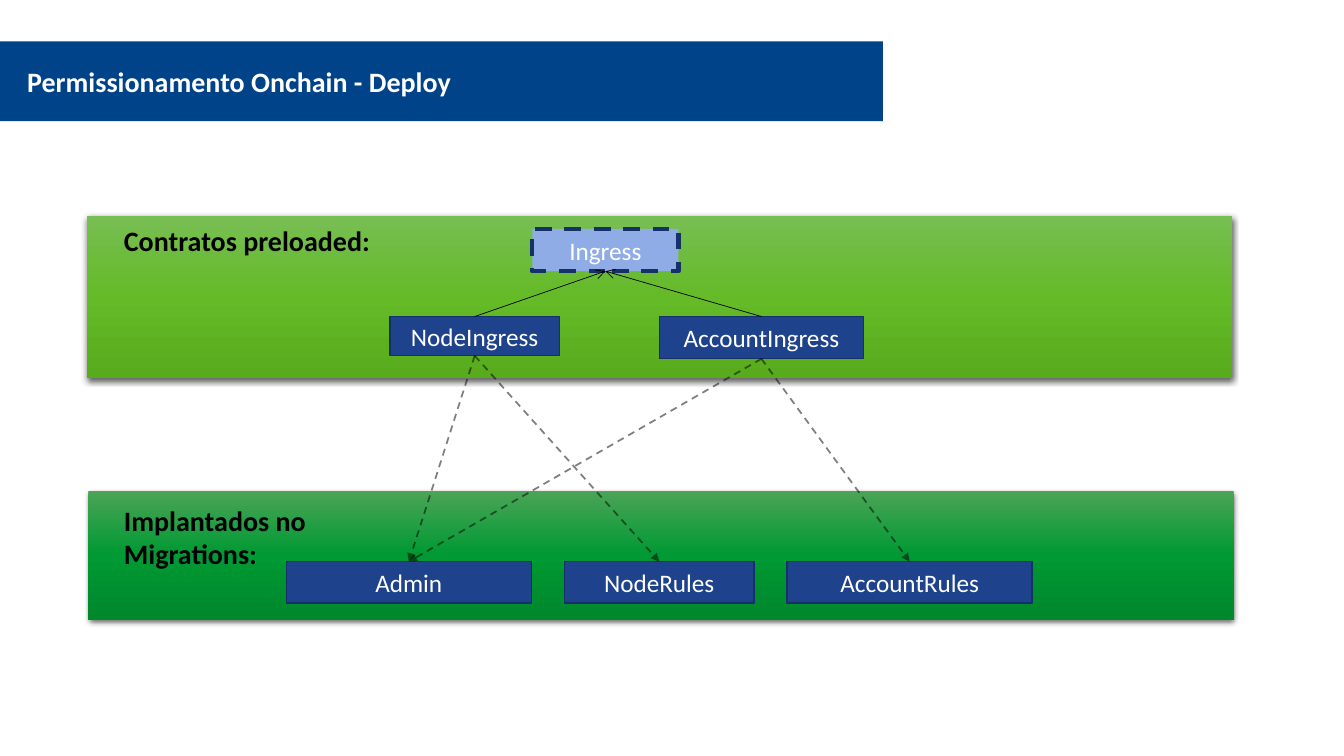
from dataclasses import dataclass
from typing import Any, Optional

import lxml.etree
import pptx
import pptx.dml.color
import pptx.enum.dml
import pptx.enum.shapes
import pptx.enum.text
import pptx.oxml.ns
import pptx.util

Pt = pptx.util.Pt
qn = pptx.oxml.ns.qn
RECTANGLE = pptx.enum.shapes.MSO_SHAPE.RECTANGLE
DASH = pptx.enum.dml.MSO_LINE.DASH
TOP, BOTTOM = 0, 2

COLORS = {
    "white": "FFFFFF",
    "black": "000000",
    "title_bar": "004389",
    "contract": "1E428B",
    "abstract": "8FACE7",
    "outline": "163167",
}
TITLE_FONT = {"name": "Calibri", "size": Pt(20), "bold": True}
CONTRACT_FONT = {"name": "Calibri", "size": Pt(18), "bold": False}


@dataclass
class Panel:
    left: float
    top: float
    width: float
    height: float
    stops: tuple[str, str, str]


@dataclass
class Contract:
    name: str
    left: float
    top: float
    width: float
    height: float
    fill: str = "contract"
    line_width: float = 1
    dash: Any = None


@dataclass
class Caption:
    text: str
    left: float
    top: float
    width: float
    height: float
    color: str = "black"
    wrap: bool = True
    inset: tuple[float, float] = (7.2, 3.6)


@dataclass
class ArrowStyle:
    width: float
    head: str
    dash: Any = None
    opacity: Optional[int] = None


@dataclass
class Arrow:
    source: str
    target: str
    source_side: int
    target_side: int
    style: ArrowStyle


INHERITS = ArrowStyle(0.5, "arrow")
USES = ArrowStyle(1.25, "triangle", DASH, 50)

PANELS = [
    Panel(62, 154, 818, 116, ("78BE54", "64BA27", "58AB1D")),
    Panel(63.2, 350.6, 818, 92, ("4BA457", "009933", "00882D")),
]
CONTRACTS = [
    Contract("NodeIngress", 278.6, 226.1, 121, 28),
    Contract("Ingress", 380.2, 163.5, 104.4, 30.2, "abstract", 3, DASH),
    Contract("AccountIngress", 470.9, 226.1, 146, 30.2),
    Contract("Admin", 204.5, 401.2, 175, 29.6),
    Contract("NodeRules", 403.2, 401.2, 135.4, 29.6),
    Contract("AccountRules", 562.3, 401.2, 175, 29.6),
]
CAPTIONS = [
    Caption("Permissionamento Onchain - Deploy", 14.4, 43, 316, 29.5, "white", False, (5, 2.9)),
    Caption("Contratos preloaded:", 81.4, 155.8, 229.7, 31.5),
    Caption("Implantados no Migrations:", 81.4, 356, 229.7, 55.7),
]
ARROWS = [
    Arrow("NodeIngress", "Ingress", TOP, BOTTOM, INHERITS),
    Arrow("AccountIngress", "Ingress", TOP, BOTTOM, INHERITS),
    Arrow("NodeIngress", "Admin", BOTTOM, TOP, USES),
    Arrow("NodeIngress", "NodeRules", BOTTOM, TOP, USES),
    Arrow("AccountIngress", "AccountRules", BOTTOM, TOP, USES),
    Arrow("AccountIngress", "Admin", BOTTOM, TOP, USES),
]


def rgb(name: str) -> pptx.dml.color.RGBColor:
    return pptx.dml.color.RGBColor.from_string(COLORS[name])


def add_element(parent: Any, tag: str, **attributes: Any) -> Any:
    values = {key: str(value) for key, value in attributes.items()}
    return lxml.etree.SubElement(parent, qn(tag), values)


def add_rectangle(slide: Any, left: float, top: float, width: float, height: float) -> Any:
    shape = slide.shapes.add_shape(RECTANGLE, Pt(left), Pt(top), Pt(width), Pt(height))
    shape.shadow.inherit = False
    shape.line.fill.background()
    return shape


def write_text(paragraph: Any, text: str, font_format: dict[str, Any], color: str) -> None:
    run = paragraph.add_run()
    run.text = text
    for attribute, value in font_format.items():
        setattr(run.font, attribute, value)
    run.font.color.rgb = rgb(color)


def add_panel(slide: Any, panel: Panel) -> None:
    shape = add_rectangle(slide, panel.left, panel.top, panel.width, panel.height)
    shape.fill.gradient()
    shape.fill.gradient_angle = 270
    properties = shape.element.spPr
    stop_list = properties.find(qn("a:gradFill")).find(qn("a:gsLst"))
    for stop in list(stop_list):
        stop_list.remove(stop)
    for index, color in enumerate(panel.stops):
        stop = add_element(stop_list, "a:gs", pos=index * 50000)
        add_element(stop, "a:srgbClr", val=color)
    shadow = add_element(properties.find(qn("a:effectLst")), "a:outerShdw", blurRad=Pt(4.5),
                         dist=Pt(1.5), dir=90 * 60000, rotWithShape=0)
    shadow_color = add_element(shadow, "a:srgbClr", val=COLORS["black"])
    add_element(shadow_color, "a:alpha", val=63000)


def add_contract(slide: Any, contract: Contract) -> Any:
    shape = add_rectangle(slide, contract.left, contract.top, contract.width, contract.height)
    shape.fill.solid()
    shape.fill.fore_color.rgb = rgb(contract.fill)
    shape.line.color.rgb = rgb("outline")
    shape.line.width = Pt(contract.line_width)
    if contract.dash:
        shape.line.dash_style = contract.dash
    shape.text_frame.vertical_anchor = pptx.enum.text.MSO_ANCHOR.MIDDLE
    paragraph = shape.text_frame.paragraphs[0]
    paragraph.alignment = pptx.enum.text.PP_ALIGN.CENTER
    write_text(paragraph, contract.name, CONTRACT_FONT, "white")
    return shape


def add_caption(slide: Any, caption: Caption) -> None:
    box = slide.shapes.add_textbox(
        Pt(caption.left), Pt(caption.top), Pt(caption.width), Pt(caption.height))
    across, down = (Pt(value) for value in caption.inset)
    frame_format = {
        "word_wrap": caption.wrap,
        "auto_size": pptx.enum.text.MSO_AUTO_SIZE.SHAPE_TO_FIT_TEXT,
        "margin_left": across, "margin_right": across,
        "margin_top": down, "margin_bottom": down,
    }
    for attribute, value in frame_format.items():
        setattr(box.text_frame, attribute, value)
    write_text(box.text_frame.paragraphs[0], caption.text, TITLE_FONT, caption.color)


def add_arrow(slide: Any, arrow: Arrow, boxes: dict[str, Any]) -> None:
    connector = slide.shapes.add_connector(
        pptx.enum.shapes.MSO_CONNECTOR.STRAIGHT, Pt(0), Pt(0), Pt(0), Pt(0))
    connector.begin_connect(boxes[arrow.source], arrow.source_side)
    connector.end_connect(boxes[arrow.target], arrow.target_side)
    connector.line.color.rgb = rgb("black")
    connector.line.width = Pt(arrow.style.width)
    if arrow.style.dash:
        connector.line.dash_style = arrow.style.dash
    properties = connector.element.spPr
    line = properties.find(qn("a:ln"))
    if arrow.style.opacity:
        line_color = line.find(qn("a:solidFill")).find(qn("a:srgbClr"))
        add_element(line_color, "a:alpha", val=arrow.style.opacity * 1000)
    add_element(line, "a:tailEnd", type=arrow.style.head)
    add_element(properties, "a:effectLst")


def main() -> None:
    presentation = pptx.Presentation()
    presentation.slide_width, presentation.slide_height = Pt(960), Pt(540)
    slide = presentation.slides.add_slide(presentation.slide_layouts[6])

    # Background panels and title bar
    for panel in PANELS:
        add_panel(slide, panel)
    title_bar = add_rectangle(slide, 0, 29.5, 630.7, 57)
    title_bar.fill.solid()
    title_bar.fill.fore_color.rgb = rgb("title_bar")

    # Contracts, captions and the arrows between contracts
    boxes = {contract.name: add_contract(slide, contract) for contract in CONTRACTS}
    for caption in CAPTIONS:
        add_caption(slide, caption)
    for arrow in ARROWS:
        add_arrow(slide, arrow, boxes)
    presentation.save("out.pptx")


if __name__ == "__main__":
    main()
